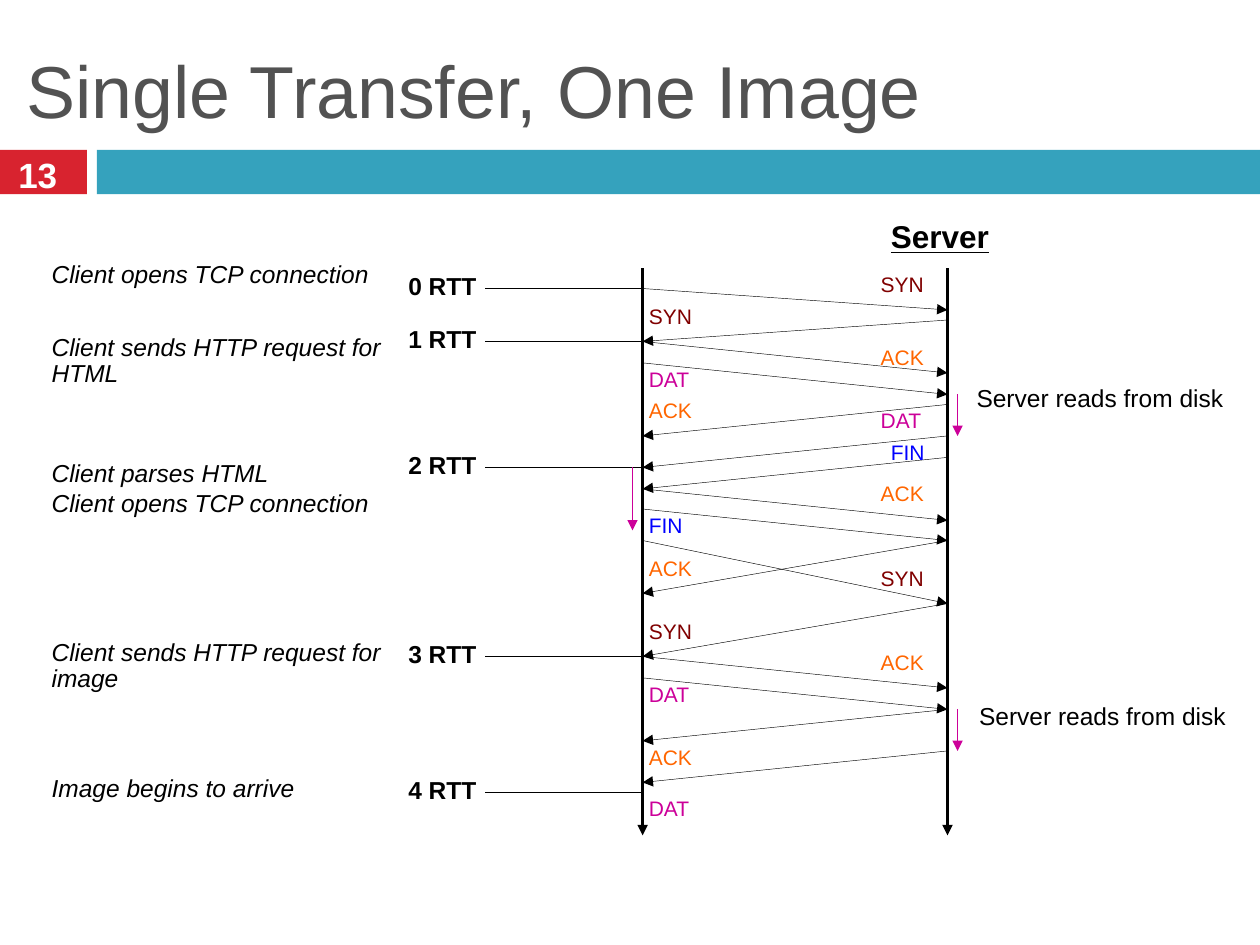
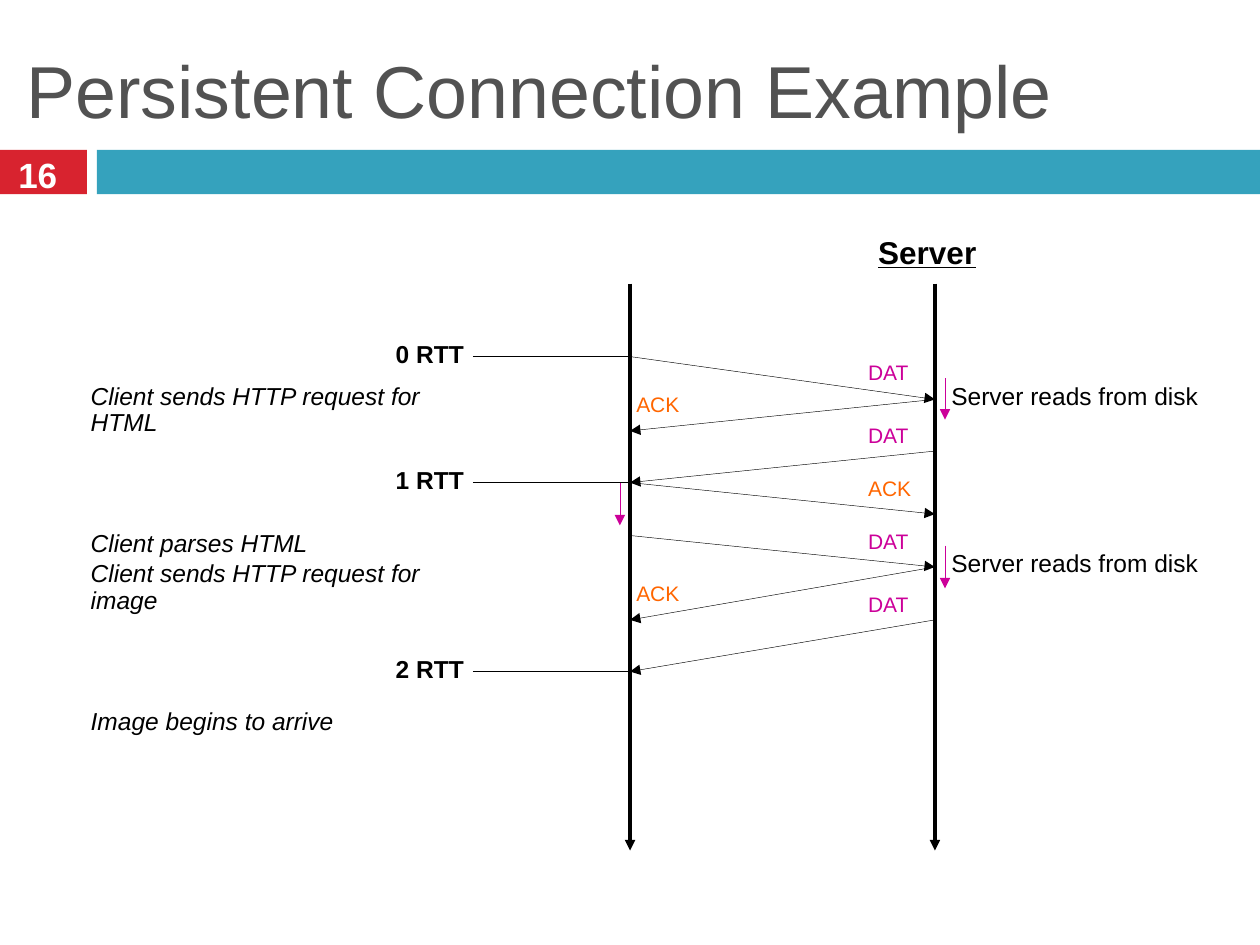
from dataclasses import dataclass

import lxml.etree
import pptx
import pptx.dml.color
import pptx.enum.dml
import pptx.enum.shapes
import pptx.enum.text
import pptx.oxml.ns
import pptx.util

# Shared style
FONT = "Arial"
BLACK, WHITE, TITLE_GRAY = "000000", "FFFFFF", "525252"
RED_BAND, TEAL_BAND, WORK_COLOR = "D8232F", "35A2BD", "CC0099"
SEGMENT_COLORS = {"SYN": "800000", "ACK": "FF6600", "DAT": "CC0099", "FIN": "0000FF"}

# Shared geometry, in inches
AXIS_GAP = 2.42
AXIS_LENGTH = 4.5
WORK_OFFSET = 0.08
SERVER_TAG_OFFSET = -0.58
CLIENT, SERVER = "client", "server"


@dataclass
class Message:
    """A segment sent by one side, with its times of leaving and arriving."""
    sender: str
    leaves: float
    arrives: float


@dataclass
class Tag:
    """The segment name beside one of the time axes."""
    segment: str
    side: str
    top: float
    shift: float = 0


@dataclass
class Work:
    """A local delay next to a time axis."""
    side: str
    start: float
    end: float


@dataclass
class Note:
    left: float
    top: float
    width: float
    lines: list[str]
    italic: bool = True


@dataclass
class Diagram:
    title: str
    number: int
    client_x: float
    axis_top: float
    server_label_left: float
    round_trips: list[float]
    messages: list[Message]
    tags: list[Tag]
    works: list[Work]
    notes: list[Note]

    def axis_x(self, side: str) -> float:
        return self.client_x + (AXIS_GAP if side == SERVER else 0)


def inch(value: float) -> pptx.util.Cm:
    return pptx.util.Cm(value * 2.54)


def rgb(color: str) -> pptx.dml.color.RGBColor:
    return pptx.dml.color.RGBColor.from_string(color)


def format_runs(paragraph, size: float, color: str, bold: bool = False,
                italic: bool = False, underline: bool = False) -> None:
    for run in paragraph.runs:
        font = run.font
        font.name, font.size = FONT, pptx.util.Pt(size)
        font.bold, font.italic, font.underline = bold, italic, underline
        font.color.rgb = rgb(color)


def set_insets(frame, inset: float) -> None:
    frame.margin_left = frame.margin_right = inch(inset)
    frame.margin_top = frame.margin_bottom = inch(inset)


def add_text(slide, left: float, top: float, width: float, lines: list[str],
             size: float = 14, color: str = BLACK, space_before: float = 2,
             **style: bool) -> None:
    height = 0.1 + len(lines) * size * 1.1 / 72
    frame = slide.shapes.add_textbox(inch(left), inch(top), inch(width), inch(height)).text_frame
    set_insets(frame, 0.05)
    frame.word_wrap = True
    frame.auto_size = pptx.enum.text.MSO_AUTO_SIZE.SHAPE_TO_FIT_TEXT
    frame.text = "\n".join(lines)
    for paragraph in frame.paragraphs:
        paragraph.line_spacing = 0.9
        paragraph.space_before = pptx.util.Pt(space_before)
        format_runs(paragraph, size, color, **style)


def add_line(slide, x1: float, y1: float, x2: float, y2: float, color: str = BLACK,
             width: float = 0.25, arrow: bool = True, dotted: bool = False) -> None:
    connector = slide.shapes.add_connector(
        pptx.enum.shapes.MSO_CONNECTOR.STRAIGHT, inch(x1), inch(y1), inch(x2), inch(y2))
    connector.line.color.rgb = rgb(color)
    connector.line.width = pptx.util.Pt(width)
    if dotted:
        connector.line.dash_style = pptx.enum.dml.MSO_LINE.ROUND_DOT
    properties = connector._element.spPr
    qn = pptx.oxml.ns.qn
    if arrow:
        lxml.etree.SubElement(properties.find(qn("a:ln")), qn("a:tailEnd"), type="triangle")
    lxml.etree.SubElement(properties, qn("a:effectLst"))


def add_band(slide, left: float, width: float, color: str) -> None:
    band = slide.shapes.add_shape(pptx.enum.shapes.MSO_SHAPE.RECTANGLE,
                                  inch(left), inch(1.19), inch(width), inch(0.35))
    band.shadow.inherit = False
    band.fill.solid()
    band.fill.fore_color.rgb = rgb(color)
    band.line.fill.background()


def add_frame(slide, title: str, number: int) -> None:
    """Title, bands and slide number, the same on every slide."""
    add_band(slide, -0.08, 0.77, RED_BAND)
    add_band(slide, 0.77, 9.24, TEAL_BAND)

    heading = slide.shapes.title
    heading.left, heading.top = inch(0.17), inch(0.07)
    heading.width, heading.height = inch(9.66), inch(1.27)
    frame = heading.text_frame
    frame.text = title
    set_insets(frame, 0.04)
    frame.auto_size = pptx.enum.text.MSO_AUTO_SIZE.NONE
    frame.vertical_anchor = pptx.enum.text.MSO_ANCHOR.MIDDLE
    frame.paragraphs[0].alignment = pptx.enum.text.PP_ALIGN.LEFT
    format_runs(frame.paragraphs[0], 42, TITLE_GRAY)

    frame = slide.shapes.add_textbox(inch(0.1), inch(1.18), inch(0.4), inch(0.41)).text_frame
    frame.text = str(number)
    set_insets(frame, 0.04)
    frame.word_wrap = False
    frame.auto_size = pptx.enum.text.MSO_AUTO_SIZE.SHAPE_TO_FIT_TEXT
    frame.paragraphs[0].alignment = pptx.enum.text.PP_ALIGN.CENTER
    format_runs(frame.paragraphs[0], 20, WHITE, bold=True)


def draw_diagram(presentation, diagram: Diagram) -> None:
    slide = presentation.slides.add_slide(presentation.slide_layouts[5])
    add_frame(slide, diagram.title, diagram.number)
    client_x, server_x = diagram.axis_x(CLIENT), diagram.axis_x(SERVER)

    # Time axes
    add_text(slide, diagram.server_label_left, diagram.axis_top - 0.42, 1.08, ["Server"],
             18, space_before=3, bold=True, underline=True)
    for x in (client_x, server_x):
        add_line(slide, x, diagram.axis_top, x, diagram.axis_top + AXIS_LENGTH, width=2)

    # Segments and their names
    for message in diagram.messages:
        receiver = SERVER if message.sender == CLIENT else CLIENT
        add_line(slide, diagram.axis_x(message.sender), message.leaves,
                 diagram.axis_x(receiver), message.arrives)
    for tag in diagram.tags:
        offset = SERVER_TAG_OFFSET if tag.side == SERVER else 0
        add_text(slide, diagram.axis_x(tag.side) + offset + tag.shift, tag.top, 0.67,
                 [tag.segment], 12, SEGMENT_COLORS[tag.segment])

    # Round-trip marks
    for count, time in enumerate(diagram.round_trips):
        add_text(slide, client_x - 1.91, time - 0.16, 1.08, [f"{count} RTT"], bold=True)
        add_line(slide, client_x, time, client_x - 1.25, time, arrow=False, dotted=True)

    # Local work and remarks
    for work in diagram.works:
        x = diagram.axis_x(work.side) + (WORK_OFFSET if work.side == SERVER else -WORK_OFFSET)
        add_line(slide, x, work.start, x, work.end, WORK_COLOR)
    for note in diagram.notes:
        add_text(slide, note.left, note.top, note.width, note.lines, italic=note.italic)


OPENS = "Client opens TCP connection"
REQUESTS_HTML = "Client sends HTTP request for HTML"
REQUESTS_IMAGE = "Client sends HTTP request for image"
PARSES = "Client parses HTML"
ARRIVES = "Image begins to arrive"
READS = "Server reads from disk"

SINGLE_TRANSFER = Diagram(
    "Single Transfer, One Image", 13, 5.1, 2.13, 7.02,
    round_trips=[2.29, 2.71, 3.71, 5.21, 6.29],
    messages=[
        Message(CLIENT, 2.29, 2.46), Message(SERVER, 2.54, 2.71),
        Message(CLIENT, 2.71, 2.96), Message(CLIENT, 2.88, 3.13),
        Message(SERVER, 3.21, 3.46), Message(SERVER, 3.46, 3.71),
        Message(SERVER, 3.63, 3.88), Message(CLIENT, 3.88, 4.13),
        Message(CLIENT, 4.04, 4.29), Message(CLIENT, 4.29, 4.79),
        Message(SERVER, 4.29, 4.71), Message(SERVER, 4.79, 5.21),
        Message(CLIENT, 5.21, 5.46), Message(CLIENT, 5.38, 5.63),
        Message(SERVER, 5.63, 5.88), Message(SERVER, 5.96, 6.21),
    ],
    tags=[
        Tag("SYN", SERVER, 2.13), Tag("SYN", CLIENT, 2.38),
        Tag("ACK", SERVER, 2.71), Tag("DAT", CLIENT, 2.88),
        Tag("ACK", CLIENT, 3.13), Tag("DAT", SERVER, 3.21),
        Tag("FIN", SERVER, 3.46, shift=0.08), Tag("ACK", SERVER, 3.79),
        Tag("FIN", CLIENT, 4.04), Tag("ACK", CLIENT, 4.38),
        Tag("SYN", SERVER, 4.46), Tag("SYN", CLIENT, 4.88),
        Tag("ACK", SERVER, 5.13), Tag("DAT", CLIENT, 5.38),
        Tag("ACK", CLIENT, 5.88), Tag("DAT", CLIENT, 6.29),
    ],
    works=[Work(SERVER, 3.13, 3.46), Work(CLIENT, 3.71, 4.21), Work(SERVER, 5.63, 5.96)],
    notes=[
        Note(7.7, 3.02, 2.25, [READS], italic=False),
        Note(7.72, 5.54, 2.25, [READS], italic=False),
        Note(0.36, 2.03, 3, [OPENS]),
        Note(0.36, 2.61, 3, [REQUESTS_HTML]),
        Note(0.36, 3.61, 3, [PARSES, OPENS]),
        Note(0.36, 5.03, 3, [REQUESTS_IMAGE]),
        Note(0.36, 6.11, 3, [ARRIVES]),
    ],
)

PERSISTENT_CONNECTION = Diagram(
    "Persistent Connection Example", 16, 5, 2.25, 6.92,
    round_trips=[2.83, 3.83, 5.33],
    messages=[
        Message(CLIENT, 2.83, 3.17), Message(SERVER, 3.17, 3.42),
        Message(SERVER, 3.58, 3.83), Message(CLIENT, 3.83, 4.08),
        Message(CLIENT, 4.25, 4.5), Message(SERVER, 4.5, 4.92),
        Message(SERVER, 4.92, 5.33),
    ],
    tags=[
        Tag("DAT", SERVER, 2.83), Tag("ACK", CLIENT, 3.08),
        Tag("DAT", SERVER, 3.33), Tag("ACK", SERVER, 3.75),
        Tag("DAT", SERVER, 4.17), Tag("ACK", CLIENT, 4.58),
        Tag("DAT", SERVER, 4.67),
    ],
    works=[Work(SERVER, 3, 3.33), Work(CLIENT, 3.83, 4.17), Work(SERVER, 4.33, 4.67)],
    notes=[
        Note(7.5, 3, 2.25, [READS], italic=False),
        Note(7.5, 4.33, 2.25, [READS], italic=False),
        Note(0.67, 3, 3, [REQUESTS_HTML]),
        Note(0.67, 4.17, 3, [PARSES, REQUESTS_IMAGE]),
        Note(0.67, 5.58, 3, [ARRIVES]),
    ],
)


def main() -> None:
    presentation = pptx.Presentation()
    presentation.slide_width, presentation.slide_height = inch(10), inch(7.5)
    for diagram in (SINGLE_TRANSFER, PERSISTENT_CONNECTION):
        draw_diagram(presentation, diagram)
    presentation.save("out.pptx")


if __name__ == "__main__":
    main()
